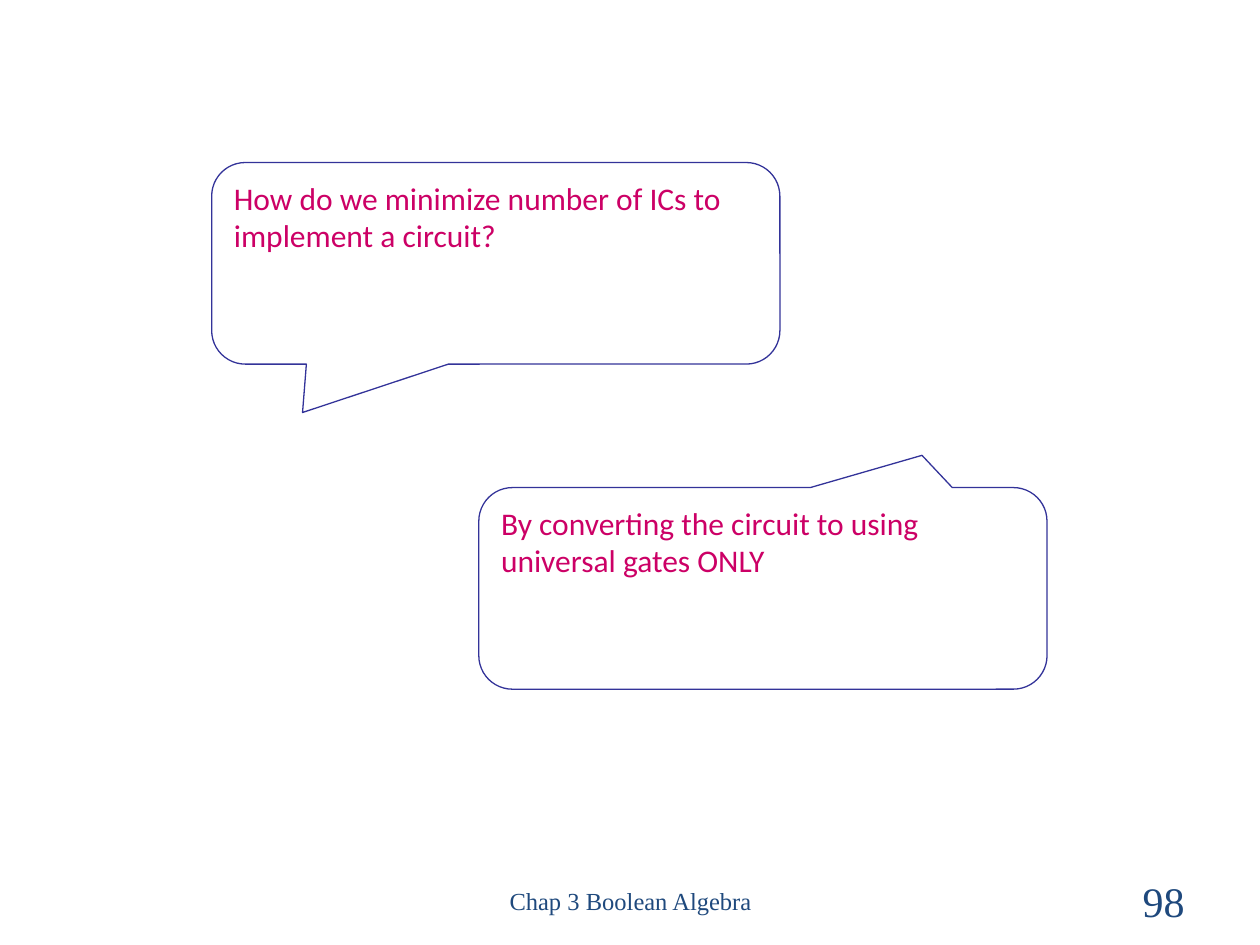
from dataclasses import dataclass

from pptx import Presentation
from pptx import util as u
from pptx.dml.color import RGBColor
from pptx.enum import shapes, text

WIDTH, HEIGHT = 10, 7.5
NAVY, INDIGO, MAGENTA = "1F497D", "333399", "CC0066"
SERIF, SANS = "Times New Roman", "Calibri"
CALLOUT_W, CALLOUT_H = 4.51, 1.6
FOOTER_TOP, FOOTER_H = 6.95, 0.4


@dataclass
class Callout:
    left: float
    top: float
    tip_x: float
    tip_y: float
    words: str


@dataclass
class Footer:
    left: float
    width: float
    words: str
    size: int
    align: text.PP_ALIGN


CALLOUTS = [
    Callout(1.68, 1.29, -0.34, 0.74,
            "How do we minimize number of ICs to implement a circuit?"),
    Callout(3.8, 3.87, 0.28, -0.66,
            "By converting the circuit to using universal gates ONLY"),
]
FOOTERS = [
    Footer(3.42, 3.17, "Chap 3 Boolean Algebra", 14, text.PP_ALIGN.CENTER),
    Footer(7.17, 2.33, "98", 24, text.PP_ALIGN.RIGHT),
]


def colour(hex_code: str) -> RGBColor:
    return RGBColor.from_string(hex_code)


def box(left: float, top: float, width: float, height: float) -> list[int]:
    return [u.Inches(n) for n in (left, top, width, height)]


def write(sp, words: str, *, size: int, font: str, hex_code: str,
          align=text.PP_ALIGN.LEFT, anchor=text.MSO_ANCHOR.TOP) -> None:
    tf = sp.text_frame
    tf.word_wrap = True
    tf.vertical_anchor = anchor
    p = tf.paragraphs[0]
    p.alignment = align
    r = p.add_run()
    r.text = words
    r.font.size = u.Pt(size)
    r.font.name = font
    r.font.color.rgb = colour(hex_code)


def draw_callout(s, item: Callout) -> None:
    sp = s.shapes.add_shape(shapes.MSO_SHAPE.ROUNDED_RECTANGULAR_CALLOUT,
                            *box(item.left, item.top, CALLOUT_W, CALLOUT_H))
    sp.adjustments[0] = item.tip_x
    sp.adjustments[1] = item.tip_y
    sp.shadow.inherit = False
    sp.fill.background()
    sp.line.color.rgb = colour(INDIGO)
    sp.line.width = u.Pt(0.75)
    write(sp, item.words, size=18, font=SANS, hex_code=MAGENTA)


def draw_footer(s, item: Footer) -> None:
    sp = s.shapes.add_textbox(*box(item.left, FOOTER_TOP, item.width, FOOTER_H))
    write(sp, item.words, size=item.size, font=SERIF, hex_code=NAVY,
          align=item.align, anchor=text.MSO_ANCHOR.MIDDLE)


prs = Presentation()
prs.slide_width, prs.slide_height = u.Inches(WIDTH), u.Inches(HEIGHT)
s = prs.slides.add_slide(prs.slide_layouts[6])
for footer in FOOTERS:
    draw_footer(s, footer)
for callout in CALLOUTS:
    draw_callout(s, callout)
prs.save("out.pptx")
